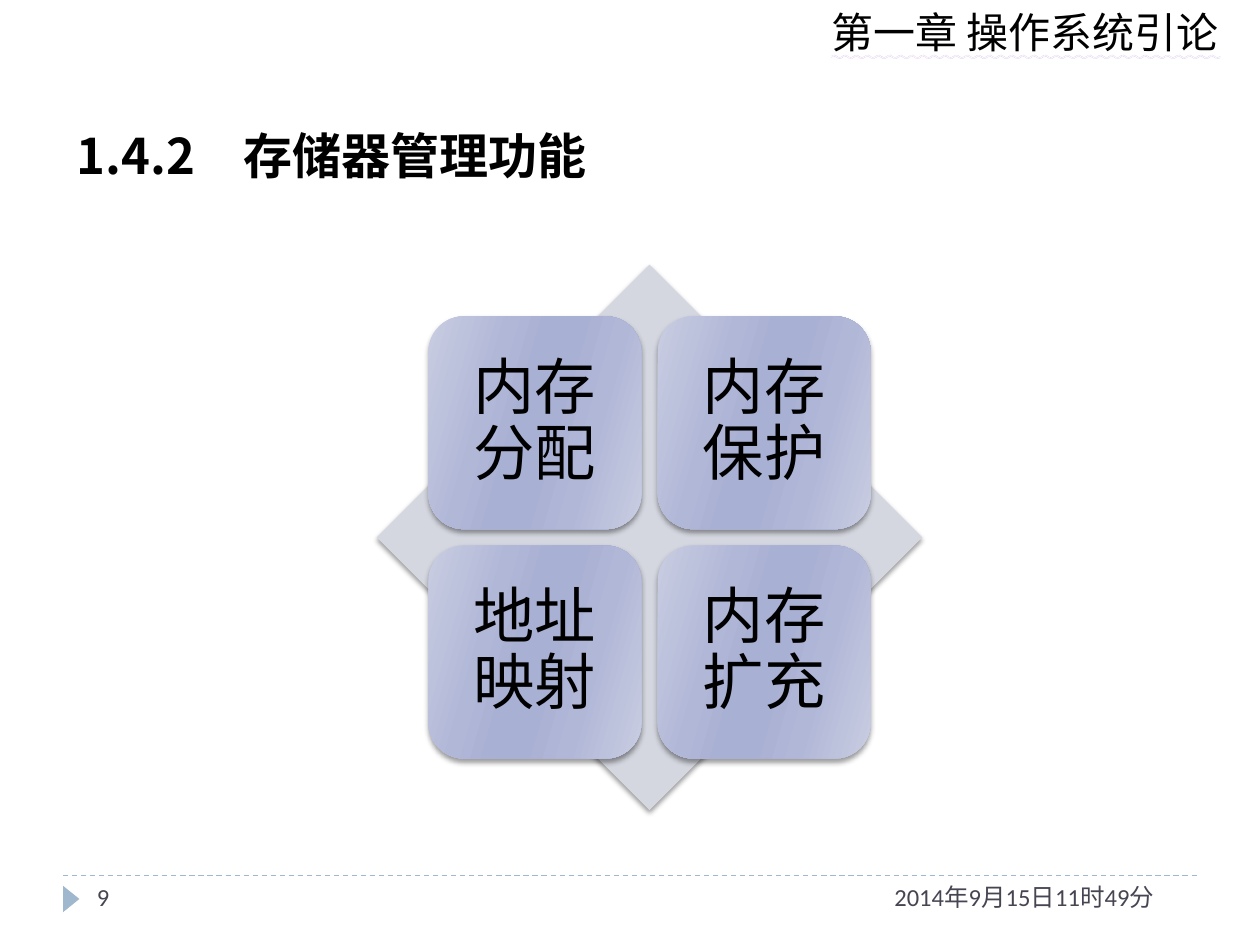
from dataclasses import dataclass

from lxml.etree import SubElement
from pptx import Presentation
from pptx.dml.color import RGBColor
from pptx.enum.dml import MSO_LINE
from pptx.enum.shapes import MSO_CONNECTOR, MSO_SHAPE as Shape
from pptx.enum.text import MSO_ANCHOR as Anchor, MSO_UNDERLINE as Underline, PP_ALIGN as Align
from pptx.oxml.ns import qn
from pptx.util import Inches, Pt


@dataclass(frozen=True)
class Theme:
    ink: str = "000000"
    footer: str = "464653"
    accent: str = "9FB8CD"
    wave: str = "C9A6E4"
    diamond: str = "D5D7E0"
    tile: tuple = ((0, "C9CDE2"), (30, "B1B7D7"), (45, "A8B0D3"),
                   (55, "A8B0D3"), (73, "B1B7D7"), (100, "C9CDE2"))
    tile_angle: int = 16
    latin: str = "Calibri"
    cjk: str = "Noto Sans CJK SC"
    footer_size: int = 14
    chapter_size: int = 24
    title_size: int = 28
    tile_size: int = 35


def add_color(parent, color):
    return SubElement(parent, qn("a:srgbClr"), val=color)


def write(frame, text, size, color, font, bold=False, align=Align.LEFT,
          anchor=Anchor.TOP, inset=None, spacing=None, before=None, wave=None):
    frame.word_wrap = True
    frame.vertical_anchor = anchor
    if inset is not None:
        frame.margin_left = frame.margin_right = Inches(inset)
        frame.margin_top = frame.margin_bottom = Inches(inset)
    paragraph = frame.paragraphs[0]
    paragraph.alignment = align
    if spacing:
        paragraph.line_spacing = spacing
    if before:
        paragraph.space_before = Pt(before)
    run = paragraph.add_run()
    run.text = text
    run.font.size = Pt(size)
    run.font.bold = bold
    run.font.color.rgb = RGBColor.from_string(color)
    props = run.font._element
    if wave:
        run.font.underline = Underline.WAVY_DOUBLE_LINE
        underline = SubElement(props, qn("a:uFill"))
        add_color(SubElement(underline, qn("a:solidFill")), wave)
    run.font.name = font
    props.find(qn("a:latin")).addnext(
        SubElement(props, qn("a:ea"), typeface=Theme.cjk))


class SlideBuilder:
    def __init__(self, slide, theme):
        self.slide = slide
        self.theme = theme

    def text(self, box, text, size, color, font=None, **style):
        label = self.slide.shapes.add_textbox(*map(Inches, box))
        write(label.text_frame, text, size, color, font or self.theme.latin, **style)

    def shape(self, kind, box, fill, rotation=0, shadow=False):
        figure = self.slide.shapes.add_shape(kind, *map(Inches, box))
        figure.rotation = rotation
        figure.line.fill.background()
        figure.shadow.inherit = False
        if isinstance(fill, str):
            figure.fill.solid()
            figure.fill.fore_color.rgb = RGBColor.from_string(fill)
        else:
            self.gradient(figure, fill)
        if shadow:
            self.drop_shadow(figure)
        return figure

    def gradient(self, figure, stops):
        figure.fill.gradient()
        figure.fill.gradient_angle = -self.theme.tile_angle % 360
        stop_list = figure._element.spPr.find(qn("a:gradFill")).find(qn("a:gsLst"))
        for old in list(stop_list):
            stop_list.remove(old)
        for position, color in stops:
            add_color(SubElement(stop_list, qn("a:gs"), pos=str(position * 1000)), color)

    def drop_shadow(self, figure):
        effects = figure._element.spPr.find(qn("a:effectLst"))
        outer = SubElement(effects, qn("a:outerShdw"), blurRad=str(Pt(3)),
                           dist=str(Pt(2)), dir="5400000", rotWithShape="0")
        SubElement(add_color(outer, self.theme.ink), qn("a:alpha"), val="40000")

    def dashed_rule(self, left, right, y):
        rule = self.slide.shapes.add_connector(
            MSO_CONNECTOR.STRAIGHT, *map(Inches, (left, y, right, y)))
        rule.line.color.rgb = RGBColor.from_string(self.theme.accent)
        rule.line.width = Pt(0.75)
        rule.line.dash_style = MSO_LINE.DASH
        SubElement(rule._element.spPr, qn("a:effectLst"))

    def tile(self, box, text):
        tile = self.shape(Shape.ROUNDED_RECTANGLE, box, self.theme.tile, shadow=True)
        write(tile.text_frame, text, self.theme.tile_size, self.theme.ink,
              self.theme.latin, align=Align.CENTER, anchor=Anchor.MIDDLE,
              inset=0.15, spacing=0.9)


theme = Theme()
deck = Presentation()
deck.slide_width, deck.slide_height = Inches(10), Inches(7.5)
page = SlideBuilder(deck.slides.add_slide(deck.slide_layouts[6]), theme)

page.dashed_rule(0.5, 9.5, 6.95)
page.shape(Shape.ISOSCELES_TRIANGLE, (0.46, 7.07, 0.21, 0.13), theme.accent, rotation=90)
page.text((6.5, 0, 3.4, 0.5), "第一章 操作系统引论", theme.chapter_size, theme.ink,
          wave=theme.wave)
page.text((7, 6.95, 2.5, 0.4), "2014年9月15日11时49分", theme.footer_size, theme.footer)
page.text((0.67, 6.95, 2.17, 0.4), "9", theme.footer_size, theme.footer)
page.text((0.51, 0.76, 8.98, 0.79), "1.4.2\u3000存储器管理功能", theme.title_size, theme.ink,
          font=theme.cjk, bold=True, spacing=1.4, before=6)

page.shape(Shape.DIAMOND, (2.99, 2.1, 4.33, 4.33), theme.diamond, shadow=True)
tile_side, tile_pitch = 1.69, 1.82
functions = (("内存分配", "内存保护"), ("地址映射", "内存扩充"))
for row, names in enumerate(functions):
    for column, name in enumerate(names):
        page.tile((3.4 + column * tile_pitch, 2.51 + row * tile_pitch,
                   tile_side, tile_side), name)

deck.save("out.pptx")
